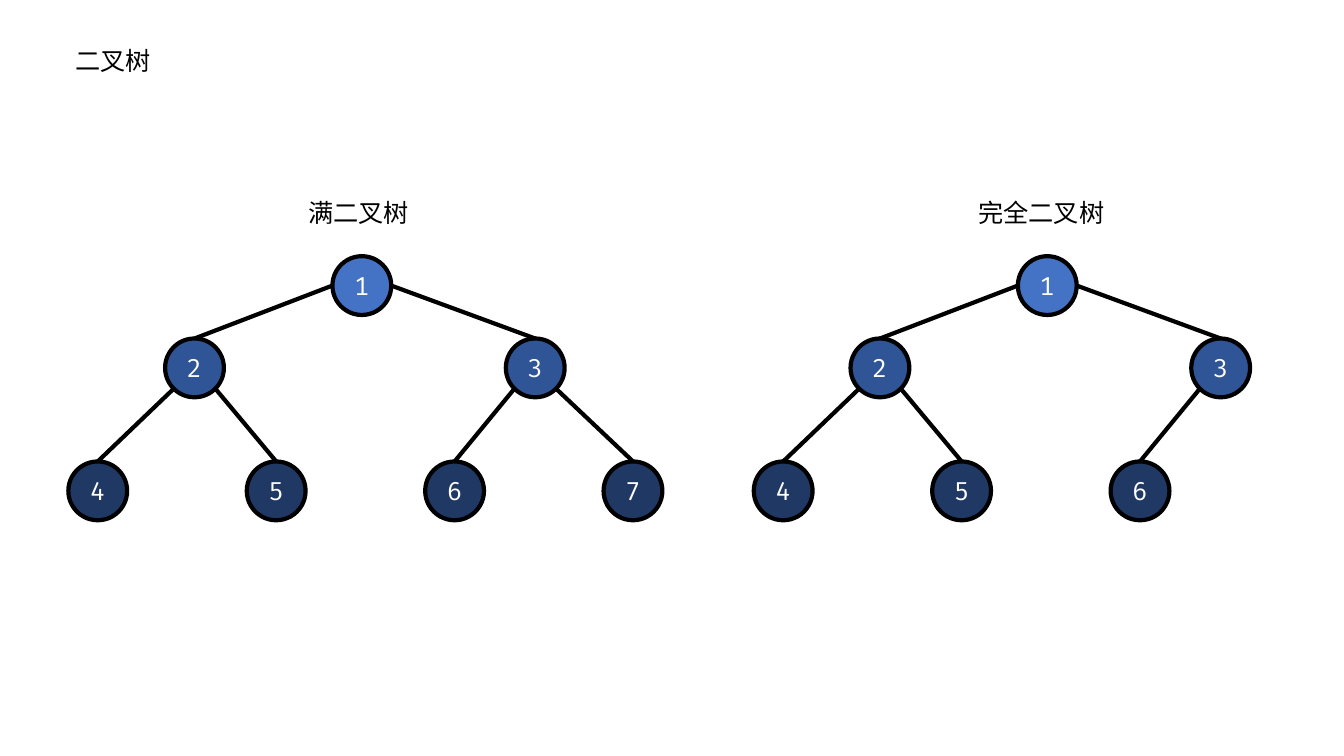
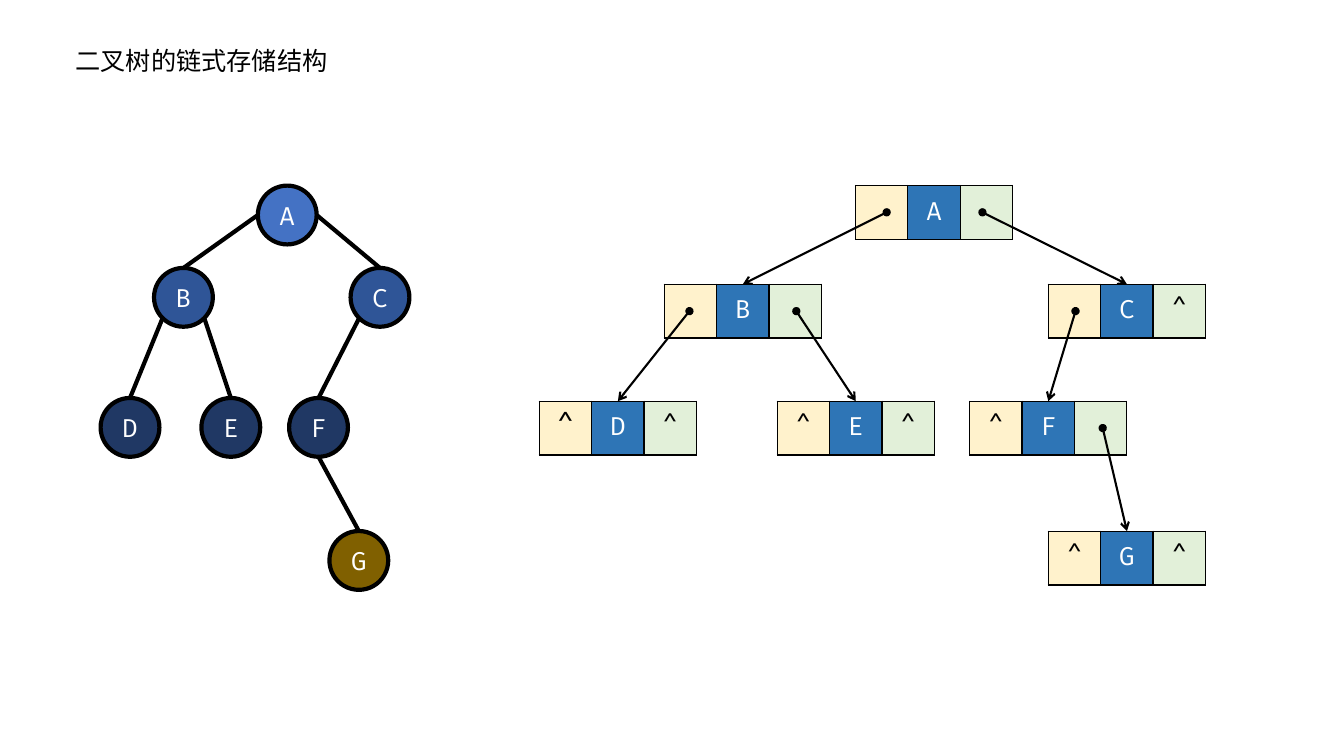
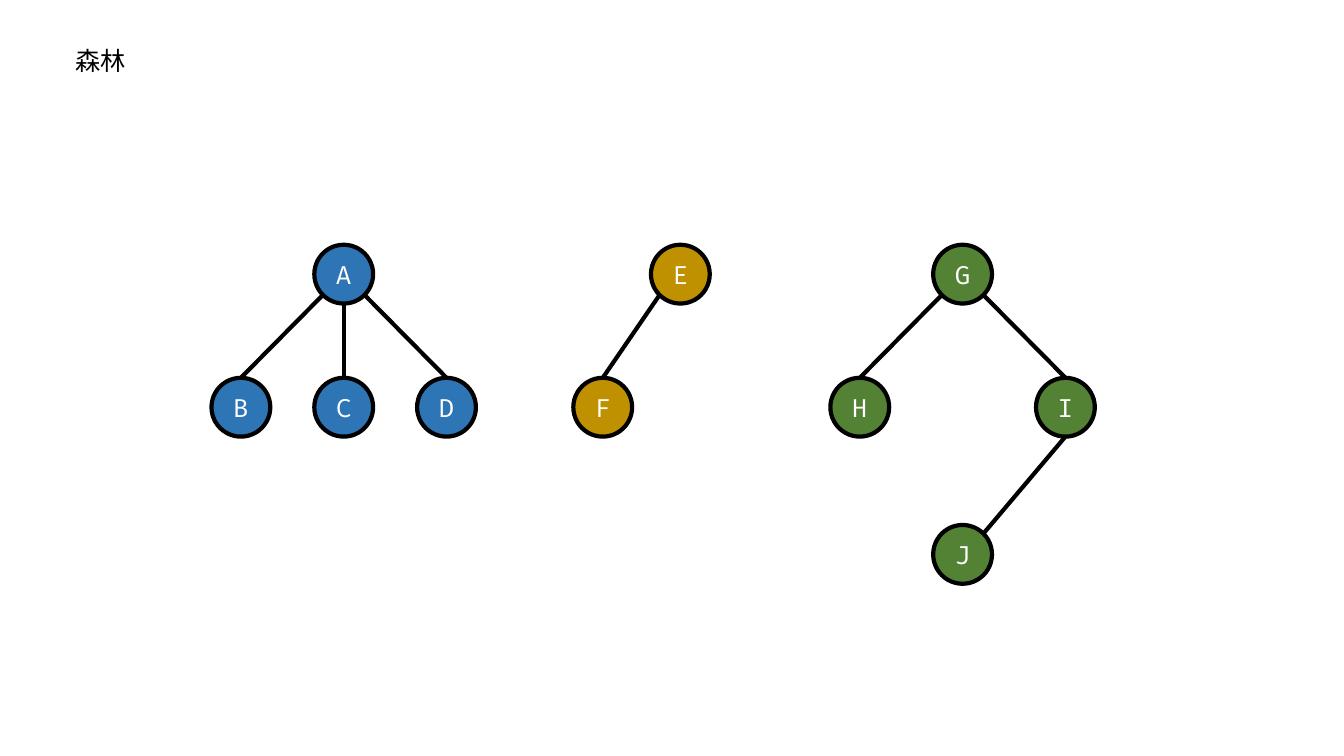
from lxml.etree import SubElement
from pptx import Presentation
from pptx.dml.color import RGBColor
from pptx.enum.shapes import MSO_CONNECTOR as Connector, MSO_SHAPE as Preset
from pptx.enum.text import (
    MSO_ANCHOR as Anchor,
    MSO_AUTO_SIZE as AutoSize,
    PP_ALIGN as Align,
)
from pptx.oxml.ns import qn
from pptx.util import Inches, Pt

COLORS = {
    "ink": "000000", "paper": "FFFFFF",
    "root": "4472C4", "branch": "2F5597", "leaf": "203864", "deep": "806000",
    "left": "FFF2CC", "data": "2E75B6", "right": "E2F0D9",
    "blue": "2E75B6", "gold": "BF9000", "green": "548235",
}
CODE_FONT, CJK_FONT = "Fira Code", "Noto Sans CJK SC"

# The slide is a grid of 40 columns and 22.5 rows, with square units.
COLUMNS, ROWS = 40, 22.5
UNIT = Inches(7.5) / ROWS
NODE_SIZE = 1.75
CELL_WIDTH, CELL_HEIGHT = 1.56, 1.6
# Points on a node's rim, in radii from its centre.
RIM = {
    "top": (0, -1), "bottom": (0, 1), "left": (-1, 0), "right": (1, 0),
    "lower left": (-0.71, 0.71), "lower right": (0.71, 0.71),
    "upper right": (0.71, -0.71),
}


def grid(*units):
    """Convert grid units to slide lengths."""
    return [round(unit * UNIT) for unit in units]


def rgb(name):
    """Look up a colour of the palette."""
    return RGBColor.from_string(COLORS[name])


def write_text(frame, text, *, font=CODE_FONT, size=18, color="ink",
               align=Align.CENTER, anchor=None, wrap=None, fit=None):
    """Put formatted text into a frame."""
    if anchor is not None:
        frame.vertical_anchor = anchor
    if wrap is not None:
        frame.word_wrap = wrap
    if fit is not None:
        frame.auto_size = fit
    paragraph = frame.paragraphs[0]
    paragraph.alignment = align
    run = paragraph.add_run()
    run.text = text
    run.font.name, run.font.size, run.font.bold = font, Pt(size), False
    run.font.color.rgb = rgb(color)
    SubElement(run.font._element, qn("a:ea"), typeface=font)


class Deck:
    """The presentation, its style and the current slide."""

    def __init__(self):
        self.deck = Presentation()
        self.deck.slide_width, self.deck.slide_height = grid(COLUMNS, ROWS)
        self.slide = None

    def new_slide(self, heading, width):
        """Start a slide with its heading."""
        self.slide = self.deck.slides.add_slide(self.deck.slide_layouts[5])
        title = self.slide.shapes.title
        title.left, title.top, title.width, title.height = grid(
            1.95, 1.2, width, 1.2)
        write_text(title.text_frame, heading, font=CJK_FONT, align=Align.LEFT,
                   anchor=Anchor.TOP, wrap=True,
                   fit=AutoSize.SHAPE_TO_FIT_TEXT)

    def caption(self, text, left, top, width=5.88):
        """Add a centred caption."""
        box = self.slide.shapes.add_textbox(*grid(left, top, width, 1.2))
        write_text(box.text_frame, text, font=CJK_FONT, anchor=Anchor.TOP,
                   wrap=True, fit=AutoSize.SHAPE_TO_FIT_TEXT)

    def node(self, label, x, y, color):
        """Draw a tree node centred at x, y."""
        circle = self.slide.shapes.add_shape(Preset.OVAL, *grid(
            x - NODE_SIZE / 2, y - NODE_SIZE / 2, NODE_SIZE, NODE_SIZE))
        circle.shadow.inherit = False
        circle.fill.solid()
        circle.fill.fore_color.rgb = rgb(color)
        circle.line.color.rgb = rgb("ink")
        circle.line.width = Pt(3)
        write_text(circle.text_frame, label, color="paper",
                   anchor=Anchor.MIDDLE, wrap=False)

    def line(self, start, end, weight=3, pointer=False):
        """Draw a line, or a pointer with a dot and an arrowhead."""
        edge = self.slide.shapes.add_connector(
            Connector.STRAIGHT, *grid(*start, *end))
        edge.line.color.rgb = rgb("ink")
        edge.line.width = Pt(weight)
        if pointer:
            stroke = edge.line._get_or_add_ln()
            SubElement(stroke, qn("a:headEnd"), type="oval")
            SubElement(stroke, qn("a:tailEnd"), type="arrow")
        SubElement(edge._element.spPr, qn("a:effectLst"))

    def tree(self, nodes, edges, shift=0):
        """Draw nodes {label: (x, y, color)} and their edges."""
        for label, (x, y, color) in nodes.items():
            self.node(label, x + shift, y, color)

        def rim_point(label, side):
            """Find a point on the rim of a node."""
            x, y, _ = nodes[label]
            dx, dy = RIM[side]
            return x + shift + dx * NODE_SIZE / 2, y + dy * NODE_SIZE / 2

        for parent, side, child, *child_side in edges:
            end_side = child_side[0] if child_side else "top"
            self.line(rim_point(parent, side), rim_point(child, end_side))

    def record(self, fields, left, top, left_size=18):
        """Draw a linked node: left pointer, data, right pointer."""
        frame = self.slide.shapes.add_table(1, 3, *grid(
            left, top, 3 * CELL_WIDTH, CELL_HEIGHT))
        table = frame.table
        table.first_row = table.horz_banding = False
        styles = (("left", "ink", left_size), ("data", "paper", 18),
                  ("right", "ink", 18))
        for cell, text, style in zip(table.rows[0].cells, fields, styles):
            fill, color, size = style
            cell.vertical_anchor = Anchor.MIDDLE
            self.cell_border(cell)
            cell.fill.solid()
            cell.fill.fore_color.rgb = rgb(fill)
            if text:
                write_text(cell.text_frame, text, color=color, size=size)

    def cell_border(self, cell):
        """Give a cell a thin line on all sides."""
        properties = cell._tc.get_or_add_tcPr()
        for side in ("lnL", "lnR", "lnT", "lnB"):
            border = SubElement(properties, qn(f"a:{side}"), w=str(Pt(1)))
            fill = SubElement(border, qn("a:solidFill"))
            SubElement(fill, qn("a:srgbClr"), val=COLORS["ink"])


def binary_trees(deck):
    """Full and complete binary trees."""
    deck.new_slide("二叉树", 5.88)
    nodes = {
        "1": (10.77, 8.5, "root"),
        "2": (5.79, 10.95, "branch"), "3": (15.93, 10.95, "branch"),
    }
    for index, label in enumerate("4567"):
        nodes[label] = (2.91 + 5.31 * index, 14.61, "leaf")
    edges = [
        ("1", "left", "2"), ("1", "right", "3"),
        ("2", "lower left", "4"), ("2", "lower right", "5"),
        ("3", "lower left", "6"), ("3", "lower right", "7"),
    ]
    deck.tree(nodes, edges)
    del nodes["7"]
    deck.tree(nodes, edges[:-1], shift=20.4)
    deck.caption("满二叉树", 7.74, 5.73)
    deck.caption("完全二叉树", 28.05, 5.73)


def linked_storage(deck):
    """A binary tree and its linked storage."""
    deck.new_slide("二叉树的链式存储结构", 9.21)
    deck.tree({
        "A": (8.55, 6.4, "root"),
        "B": (5.46, 8.85, "branch"), "C": (11.31, 8.85, "branch"),
        "D": (3.87, 12.72, "leaf"), "E": (6.87, 12.72, "leaf"),
        "F": (9.48, 12.72, "leaf"), "G": (10.68, 16.68, "deep"),
    }, [
        ("A", "left", "B"), ("A", "right", "C"),
        ("B", "lower left", "D"), ("B", "lower right", "E"),
        ("C", "lower left", "F"), ("F", "bottom", "G"),
    ])

    places = {
        "A": (25.46, 5.52), "B": (19.77, 8.46), "C": (31.2, 8.46),
        "D": (16.05, 11.94), "E": (23.13, 11.94), "F": (28.86, 11.94),
        "G": (31.2, 15.81),
    }
    # Parent, distance of the dot from the record's left edge, child.
    pointers = [
        ("A", 0.93, "B"), ("A", 3.78, "C"), ("B", 0.75, "D"),
        ("B", 3.93, "E"), ("C", 0.81, "F"), ("F", 3.96, "G"),
    ]
    middle = 1.5 * CELL_WIDTH
    used = {(parent, dot > middle) for parent, dot, _ in pointers}
    for label, (left, top) in places.items():
        before, after = ("" if (label, is_right) in used else "^"
                         for is_right in (False, True))
        deck.record((before, label, after), left, top,
                    left_size=20 if label == "D" else 18)
    for parent, dot, child in pointers:
        left, top = places[parent]
        child_left, child_top = places[child]
        deck.line((left + dot, top + CELL_HEIGHT / 2),
                  (child_left + middle, child_top), weight=1.5, pointer=True)


def forest(deck):
    """Three separate trees."""
    deck.new_slide("森林", 5.67)
    upper, lower, lowest = 8.16, 12.12, 16.5
    gap = 3.06
    first, last = 10.23, 28.65
    deck.tree({
        "A": (first, upper, "blue"), "B": (first - gap, lower, "blue"),
        "C": (first, lower, "blue"), "D": (first + gap, lower, "blue"),
    }, [("A", "lower left", "B"), ("A", "bottom", "C"),
        ("A", "lower right", "D")])
    deck.tree({"E": (20.25, upper, "gold"), "F": (17.94, lower, "gold")},
              [("E", "lower left", "F")])
    deck.tree({
        "G": (last, upper, "green"), "H": (last - gap, lower, "green"),
        "I": (last + gap, lower, "green"), "J": (last, lowest, "green"),
    }, [("G", "lower left", "H"), ("G", "lower right", "I"),
        ("I", "bottom", "J", "upper right")])


tree_deck = Deck()
for build_slide in (binary_trees, linked_storage, forest):
    build_slide(tree_deck)
tree_deck.deck.save("out.pptx")
